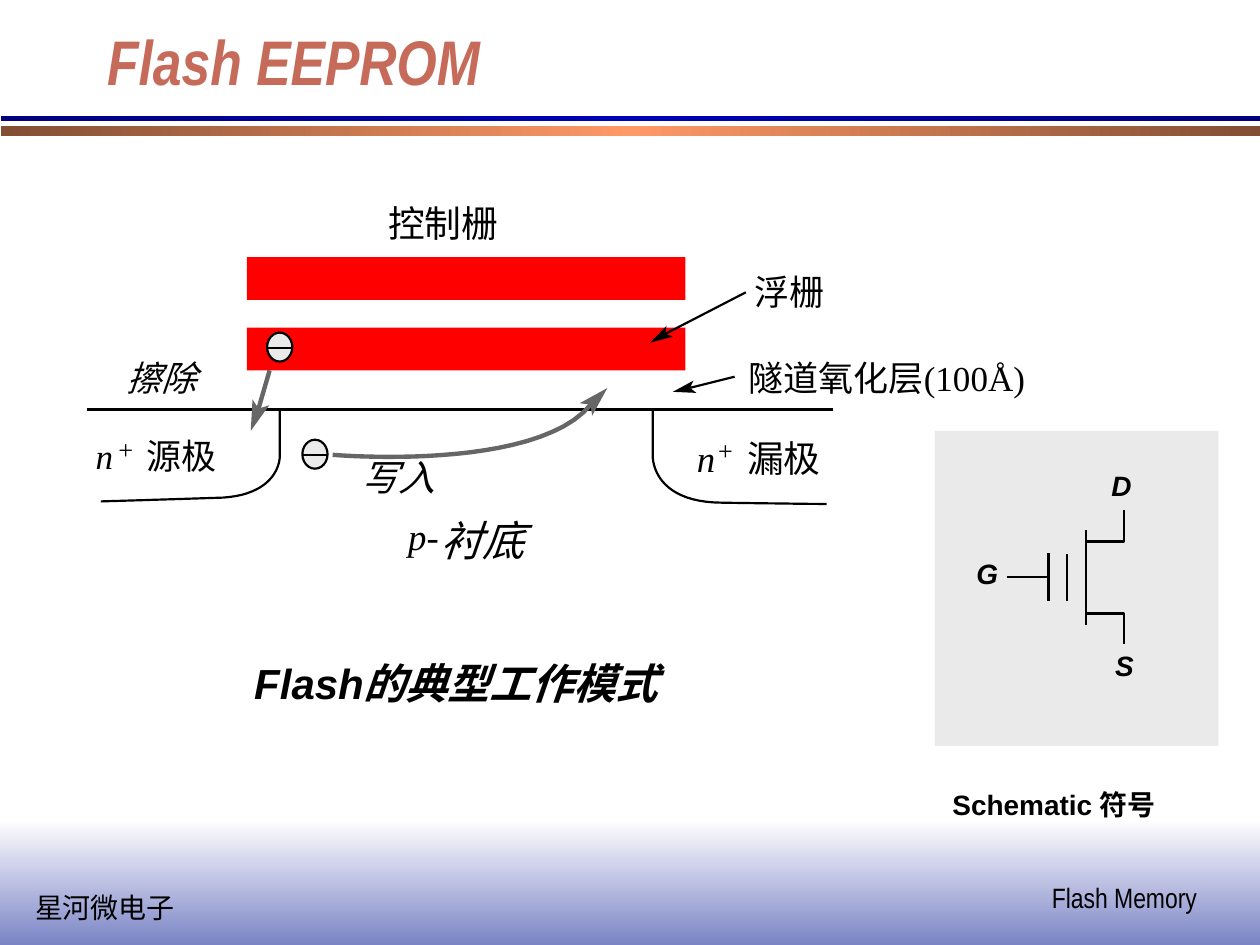
import math

import pptx
import pptx.dml.color
import pptx.enum.shapes
import pptx.enum.text
import pptx.oxml.ns
import pptx.util
from lxml import etree

Inches = pptx.util.Inches
Pt = pptx.util.Pt
qn = pptx.oxml.ns.qn
Preset = pptx.enum.shapes.MSO_SHAPE
Anchor = pptx.enum.text.MSO_ANCHOR
Align = pptx.enum.text.PP_ALIGN
AutoSize = pptx.enum.text.MSO_AUTO_SIZE

THEME = {
    "ink": "000000", "title": "C66B5A", "gate": "FF0000", "path": "666666", "panel": "EAEAEA",
    "thin": 1.25, "symbol": 1.5, "thick": 2.5,
    "serif": "Times New Roman", "sans": "Arial", "narrow": "Arial Narrow",
    "title_size": 36, "caption": 24, "label": 21, "note": 20, "small": 16, "sup": 15,
}

# ---- Content ----
TITLE = "Flash EEPROM"
# left, top, width, height, gradient colours, clockwise angle
BANDS = [
    (0, 6.5, 10, 1, ["FFFFFF", "7B84C6"], 90),
    (0.01, 1, 9.99, 0.08, ["824E34", "FF9966", "824E34"], 0),
    (0.01, 0.92, 9.99, 0.04, ["00007E", "0000B6", "00007E"], 0),
]
# text, left, top, width, height, font, size, style letters (b, i)
FOOTERS = [
    ("星河微电子", 0.18, 7.02, 1.31, 0.37, "narrow", "small", ""),
    ("Flash Memory", 8.25, 6.94, 1.35, 0.37, "narrow", "small", ""),
]
CAPTION = ("Flash的典型工作模式", 1.77, 5.17, 3.7, 0.5, "sans", "caption", "bi")
LABELS = [
    ("控制栅", 3.08, 1.59, 0.9, 0.35, "serif", "label", ""),
    ("擦除", 1, 2.83, 0.58, 0.33, "serif", "note", "i"),
    ("p-", 3.24, 4.08, 0.26, 0.35, "serif", "label", "i"),
    ("衬底", 3.5, 4.08, 0.7, 0.4, "sans", "caption", "i"),
    ("浮栅", 5.99, 2.15, 0.58, 0.33, "serif", "note", ""),
    ("隧道氧化层(100Å)", 5.94, 2.83, 2.32, 0.33, "serif", "note", ""),
    ("n", 0.76, 3.45, 0.17, 0.33, "serif", "note", "i"),
    ("+", 0.94, 3.44, 0.12, 0.25, "serif", "sup", ""),
    ("源极", 1.16, 3.45, 0.58, 0.33, "serif", "note", ""),
    ("n", 5.53, 3.46, 0.18, 0.35, "serif", "label", "i"),
    ("+", 5.7, 3.45, 0.12, 0.25, "serif", "sup", ""),
    ("漏极", 5.93, 3.46, 0.64, 0.35, "serif", "label", ""),
    ("写入", 2.87, 3.61, 0.64, 0.35, "serif", "label", "i"),
    ("Schematic 符号", 7.56, 6.25, 1.7, 0.27, "sans", "small", "b"),
]
PINS = [
    ("G", 7.75, 4.42, 0.17, 0.27, "sans", "small", "bi"),
    ("S", 8.85, 5.15, 0.15, 0.27, "sans", "small", "bi"),
    ("D", 8.82, 3.72, 0.16, 0.27, "sans", "small", "bi"),
]
GATE_TOPS = [2.04, 2.6]
SURFACE = [(0.69, 3.25), (6.61, 3.25)]
# start point, then cubic curves (control, control, end)
SOURCE_WELL = [(2.22, 3.25), ((2.22, 3.63),) * 3,
               ((2.22, 3.63), (2.22, 3.92), (1.77, 3.95)),
               ((1.77, 3.95), (1.15, 3.97), (0.8, 3.98))]
DRAIN_WELL = [(5.18, 3.25), ((5.18, 3.61),) * 3,
              ((5.18, 3.61), (5.16, 3.99), (5.74, 3.99)),
              ((5.74, 3.99), (6.43, 4), (6.56, 4))]
WRITE_PATH = [(2.64, 3.61), ((2.64, 3.61), (4.25, 3.75), (4.69, 3.21))]
ELECTRONS = [(2.12, 2.64), (2.4, 3.49)]
# shaft start, shaft end, tip
POINTERS = [((5.92, 2.32), (5.28, 2.65), (5.16, 2.72)),
            ((5.83, 2.99), (5.47, 3.08), (5.34, 3.11))]
ERASE = ((2.14, 2.94), (2.05, 3.25), (1.99, 3.42))
WRITE_TIP = (4.82, 3.08)
SYMBOL_WIRES = [((8.62, 4.21), (8.62, 4.96)), ((8.47, 4.4), (8.47, 4.77)),
                ((7.99, 4.58), (8.31, 4.58)), ((8.32, 4.39), (8.32, 4.77))]
SYMBOL_TERMINALS = [[(8.62, 4.87), (8.92, 4.87), (8.92, 5.11)],
                    [(8.92, 4.05), (8.92, 4.3), (8.62, 4.3)]]


# ---- Helpers ----
def rgb(value):
    return pptx.dml.color.RGBColor.from_string(value)


def paint(shape, fill=None, line=None, width=THEME["thin"]):
    shape.shadow.inherit = False
    if fill:
        shape.fill.solid()
        shape.fill.fore_color.rgb = rgb(fill)
    else:
        shape.fill.background()
    if line:
        shape.line.color.rgb = rgb(line)
        shape.line.width = Pt(width)
    else:
        shape.line.fill.background()


def add_block(shapes, preset, box, **look):
    block = shapes.add_shape(preset, *map(Inches, box))
    paint(block, **look)
    return block


def add_band(shapes, left, top, width, height, colours, angle):
    band = add_block(shapes, Preset.RECTANGLE, (left, top, width, height))
    band.fill.gradient()
    band.fill.gradient_angle = -angle % 360
    stops = band.element.spPr.find(".//" + qn("a:gsLst"))
    stops.clear()
    for i, colour in enumerate(colours):
        stop = etree.SubElement(stops, qn("a:gs"), pos=str(i * 100000 // (len(colours) - 1)))
        etree.SubElement(stop, qn("a:srgbClr"), val=colour)


def add_wire(shapes, start, end, colour=THEME["ink"], width=THEME["thin"]):
    wire = shapes.add_connector(pptx.enum.shapes.MSO_CONNECTOR.STRAIGHT,
                                *map(Inches, (*start, *end)))
    wire.line.color.rgb = rgb(colour)
    wire.line.width = Pt(width)
    etree.SubElement(wire.element.spPr, qn("a:effectLst"))


def add_outline(shapes, points, close=False, **look):
    corners = [(Inches(x), Inches(y)) for x, y in points]
    builder = shapes.build_freeform(*corners[0], scale=1.0)
    builder.add_line_segments(corners[1:], close=close)
    paint(builder.convert_to_shape(), **look)


def curve_points(curve, steps=24):
    points = [curve[0]]
    for a, b, end in curve[1:]:
        start = points[-1]
        for t in (i / steps for i in range(1, steps + 1)):
            u = 1 - t
            points.append(tuple(u**3 * p + 3 * u * u * t * q + 3 * u * t * t * r + t**3 * s
                                for p, q, r, s in zip(start, a, b, end)))
    return points


def add_head(shapes, shaft_end, tip, length, width, colour):
    angle = math.atan2(tip[1] - shaft_end[1], tip[0] - shaft_end[0])
    cos, sin = math.cos(angle), math.sin(angle)
    barbs = [(0, 0), (length, width / 2), (length * 0.78, 0), (length, -width / 2)]
    points = [(tip[0] - back * cos - side * sin, tip[1] - back * sin + side * cos)
              for back, side in barbs]
    add_outline(shapes, points, close=True, fill=colour)


def set_text(frame, text, font, size, style, colour="ink", align=Align.LEFT):
    frame.text = text
    paragraph = frame.paragraphs[0]
    paragraph.alignment = align
    look = {"name": THEME[font], "size": Pt(THEME[size]), "bold": "b" in style, "italic": "i" in style}
    run_font = paragraph.runs[0].font
    for key, value in look.items():
        setattr(run_font, key, value)
    run_font.color.rgb = rgb(THEME[colour])


def add_label(shapes, text, left, top, width, height, font, size, style,
              inset=(0, 0), align=Align.LEFT):
    frame = shapes.add_textbox(*map(Inches, (left, top, width, height))).text_frame
    side, edge = map(Inches, inset)
    layout = {"margin_left": side, "margin_right": side, "margin_top": edge,
              "margin_bottom": edge, "word_wrap": False,
              "auto_size": AutoSize.SHAPE_TO_FIT_TEXT}
    for key, value in layout.items():
        setattr(frame, key, value)
    set_text(frame, text, font, size, style, align=align)


def main():
    deck = pptx.Presentation()
    deck.slide_width, deck.slide_height = Inches(10), Inches(7.5)
    slide = deck.slides.add_slide(deck.slide_layouts[5])
    shapes = slide.shapes
    ink, path, panel = THEME["ink"], THEME["path"], THEME["panel"]

    # Title, bands and footers
    title = shapes.title
    title.left, title.top, title.width, title.height = map(Inches, (0.75, 0, 8.5, 0.83))
    title.text_frame.vertical_anchor = Anchor.BOTTOM
    title.text_frame.auto_size = AutoSize.NONE
    set_text(title.text_frame, TITLE, "narrow", "title_size", "bi", "title")
    for band in BANDS:
        add_band(shapes, *band)
    for footer in FOOTERS:
        add_label(shapes, *footer, inset=(0.1, 0.05))

    # Cell cross-section
    for top in GATE_TOPS:
        add_block(shapes, Preset.RECTANGLE, (1.96, top, 3.48, 0.34), fill=THEME["gate"])
    for well in (SOURCE_WELL, DRAIN_WELL):
        add_outline(shapes, curve_points(well), line=ink)
    add_wire(shapes, *SURFACE)
    for left, top in ELECTRONS:
        add_block(shapes, Preset.OVAL, (left, top, 0.2, 0.23), fill=panel, line=ink)
        add_wire(shapes, (left, top + 0.12), (left + 0.2, top + 0.12))

    # Pointers, erase arrow and write arrow
    for start, end, tip in POINTERS:
        add_wire(shapes, start, end)
        add_head(shapes, end, tip, 0.18, 0.1, ink)
    add_wire(shapes, *ERASE[:2], path, THEME["thick"])
    add_outline(shapes, curve_points(WRITE_PATH), line=path, width=THEME["thick"])
    for end, tip in (ERASE[1:], (WRITE_PATH[-1][-1], WRITE_TIP)):
        add_head(shapes, end, tip, 0.24, 0.14, path)

    # Schematic symbol
    add_block(shapes, Preset.RECTANGLE, (7.42, 3.42, 2.25, 2.5), fill=panel)
    symbol = shapes.add_group_shape().shapes
    for terminal in SYMBOL_TERMINALS:
        add_outline(symbol, terminal, line=ink, width=THEME["symbol"])
    for wire in SYMBOL_WIRES:
        add_wire(symbol, *wire, width=THEME["symbol"])
    for pin in PINS:
        add_label(symbol, *pin)

    # Labels and caption
    for label in LABELS:
        add_label(shapes, *label)
    add_label(shapes, *CAPTION, inset=(0.1, 0.05), align=Align.CENTER)

    deck.save("out.pptx")


if __name__ == "__main__":
    main()
